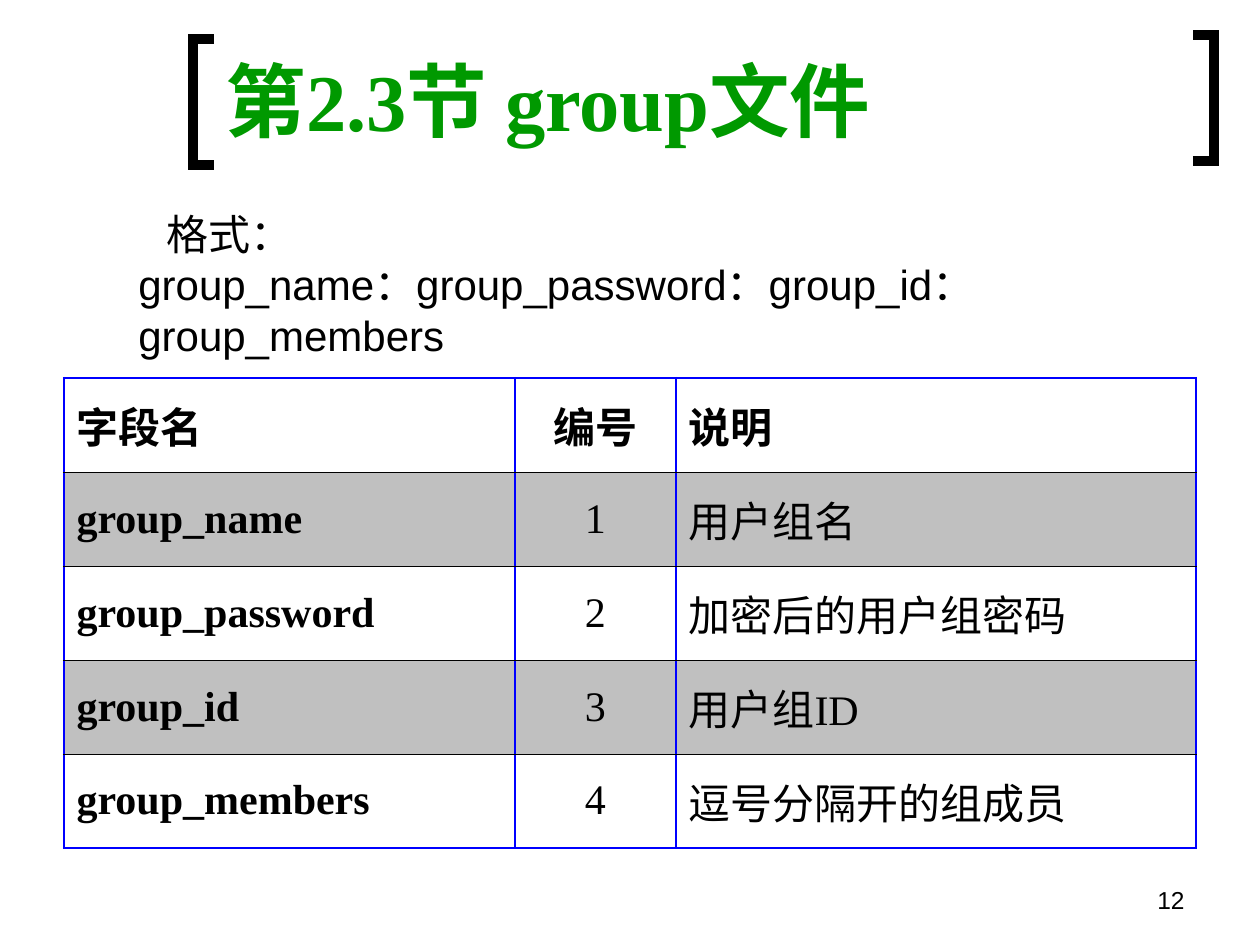
from lxml import etree
from pptx import Presentation, util as u
from pptx.dml.color import RGBColor
from pptx.enum import text
from pptx.oxml import parse_xml
from pptx.oxml.ns import nsdecls, qn

SERIF, SANS = "Times New Roman", "Arial"
BLACK, GREEN, BLUE, GREY = "000000", "009900", "0000FF", "C0C0C0"
LEFT, CENTER, RIGHT = text.PP_ALIGN.LEFT, text.PP_ALIGN.CENTER, text.PP_ALIGN.RIGHT
ROWS = [
    ("字段名", "编号", "说明"),
    ("group_name", "1", "用户组名"),
    ("group_password", "2", "加密后的用户组密码"),
    ("group_id", "3", "用户组ID"),
    ("group_members", "4", "逗号分隔开的组成员"),
]
COLUMN_WIDTHS = (451, 161, 520)
ROW_HEIGHT = 94


def px(length):
    """Turn pixels into EMU."""
    return u.Emu(round(length * 914400 / 126))


def color(value):
    """Turn a hex string into a colour."""
    return RGBColor.from_string(value)


def format_paragraph(paragraph, size, font, fill=BLACK, bold=False, align=LEFT):
    """Format the runs and alignment of a paragraph."""
    paragraph.alignment = align
    for run in paragraph.runs:
        run.font.size = u.Pt(size)
        run.font.name = font
        run.font.bold = bold
        run.font.color.rgb = color(fill)


def add_bracket(slide, tip, spine, top, height):
    """Draw a square bracket from its tips and its spine."""
    bottom = top + height
    builder = slide.shapes.build_freeform(px(tip), px(bottom), scale=1.0)
    corners = [(spine, bottom), (spine, top), (tip, top)]
    builder.add_line_segments([(px(x), px(y)) for x, y in corners], close=False)
    shape = builder.convert_to_shape()
    shape.shadow.inherit = False
    shape.fill.background()
    shape.line.color.rgb = color(BLACK)
    shape.line.width = u.Pt(6)
    etree.SubElement(shape.line._ln, qn("a:miter"), lim="800000")


def set_title(slide, words):
    """Place and format the title."""
    title = slide.shapes.title
    title.left, title.top, title.width, title.height = px(213), px(31), px(1134), px(136)
    frame = title.text_frame
    frame.text = words
    frame.auto_size = text.MSO_AUTO_SIZE.NONE
    frame.vertical_anchor = text.MSO_ANCHOR.MIDDLE
    format_paragraph(frame.paragraphs[0], 46, SERIF, GREEN, True)


def add_text(slide, box, words, size, align=LEFT, anchor=text.MSO_ANCHOR.TOP):
    """Add a wrapped text box and return its paragraphs."""
    frame = slide.shapes.add_textbox(*map(px, box)).text_frame
    frame.word_wrap = True
    frame.vertical_anchor = anchor
    frame.text = words
    for paragraph in frame.paragraphs:
        format_paragraph(paragraph, size, SANS, align=align)
    return frame.paragraphs


def set_borders(cell, top, bottom):
    """Give a cell blue sides and the given top and bottom lines."""
    side = (BLUE, 1.47)
    edges = zip("LRTB", (side, side, top, bottom))
    properties = cell._tc.get_or_add_tcPr()
    for index, (edge, (line, width)) in enumerate(edges):
        properties.insert(index, parse_xml(
            f'<a:ln{edge} {nsdecls("a")} w="{u.Pt(width)}"><a:solidFill>'
            f'<a:srgbClr val="{line}"/></a:solidFill></a:ln{edge}>'))


def add_field_table(slide):
    """Add the table of group file fields."""
    last = len(ROWS) - 1
    table = slide.shapes.add_table(
        len(ROWS), len(COLUMN_WIDTHS), px(64), px(378),
        px(sum(COLUMN_WIDTHS)), px(ROW_HEIGHT * len(ROWS))).table
    for column, width in zip(table.columns, COLUMN_WIDTHS):
        column.width = px(width)
    outer, inner = (BLUE, 1.47), (BLACK, 0.4)
    for i, row in enumerate(ROWS):
        table.rows[i].height = px(ROW_HEIGHT)
        for j, words in enumerate(row):
            cell = table.cell(i, j)
            cell.text = words
            cell.vertical_anchor = text.MSO_ANCHOR.MIDDLE
            format_paragraph(cell.text_frame.paragraphs[0], 24, SERIF,
                             bold=i == 0 or j == 0, align=CENTER if j == 1 else LEFT)
            if i % 2:
                cell.fill.solid()
                cell.fill.fore_color.rgb = color(GREY)
            else:
                cell.fill.background()
            set_borders(cell, inner if i else outer, outer if i == last else inner)


def main():
    """Build the slide and save it."""
    presentation = Presentation()
    presentation.slide_width, presentation.slide_height = px(1260), px(945)
    slide = presentation.slides.add_slide(presentation.slide_layouts[5])
    add_bracket(slide, 214, 193, 39, 126)
    add_bracket(slide, 1193, 1214, 35, 126)
    add_text(slide, (903, 879, 294, 66), "12", 14, RIGHT)
    set_title(slide, "第2.3节 group文件")
    heading = add_text(
        slide, (126, 202, 1047, 164),
        "格式：\ngroup_name：group_password：group_id：group_members",
        24, anchor=text.MSO_ANCHOR.MIDDLE)[0]
    heading._p.get_or_add_pPr().set("marL", str(px(28)))
    add_field_table(slide)
    presentation.save("out.pptx")


if __name__ == "__main__":
    main()
